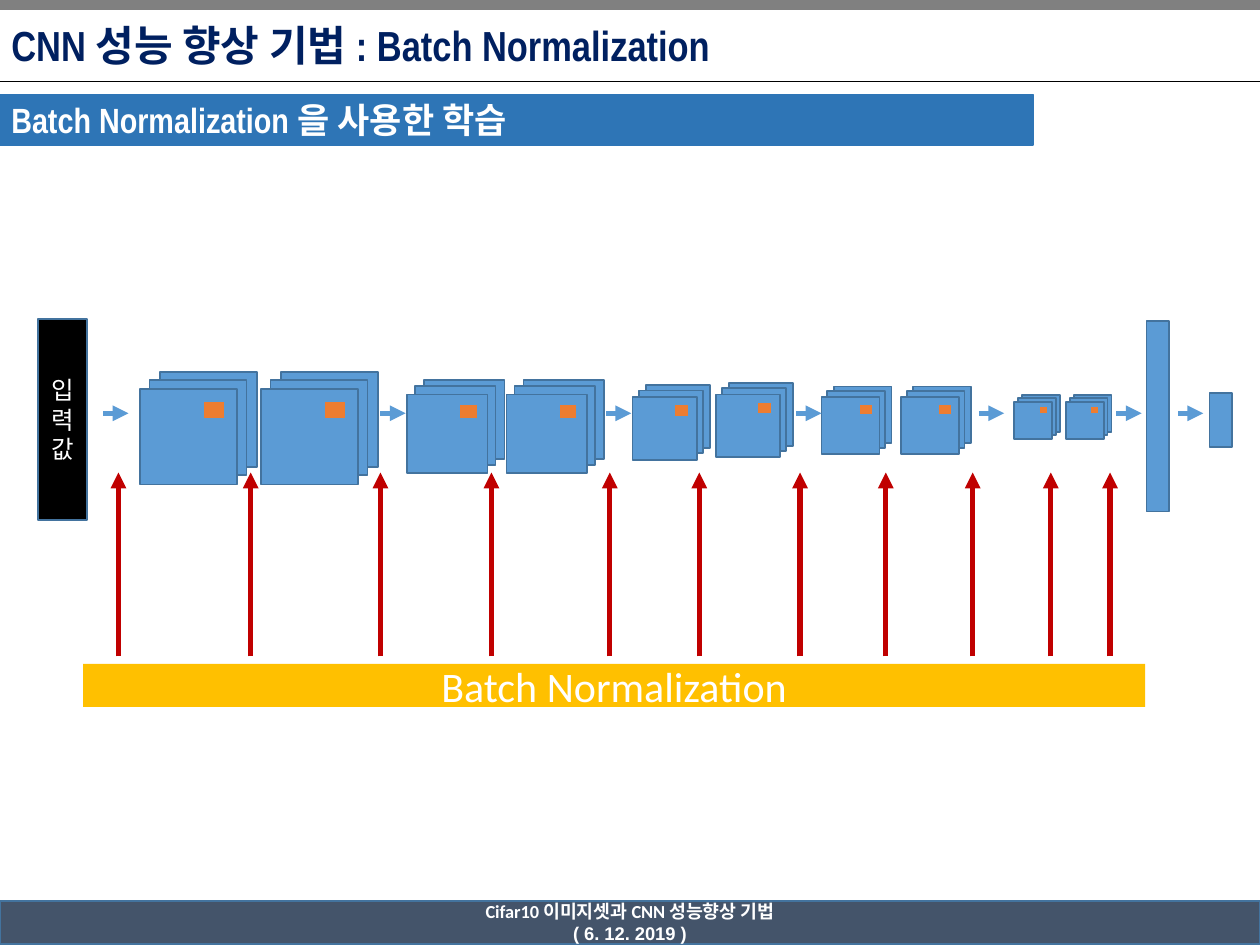
"""Build a slide showing batch normalization applied across the layers of a CNN."""
from dataclasses import dataclass
from typing import Optional

from lxml import etree
from pptx import Presentation
from pptx import util as u
from pptx.dml.color import RGBColor
from pptx.enum import shapes, text
from pptx.oxml.ns import qn

COLORS = {
    "white": "FFFFFF", "black": "000000", "gray": "808080", "navy": "002060",
    "banner": "2E75B6", "footer": "44546A", "layer": "5B9BD5",
    "outline": "43739E", "kernel": "ED7D31", "norm": "FFC000", "red": "C00000",
}
FLOW_Y = 3.28
NORM_TOP, NORM_BOTTOM = 3.75, 5.21


@dataclass(frozen=True)
class Box:
    left: float
    top: float
    width: float
    height: float
    fill: str
    line: Optional[str] = "outline"


@dataclass(frozen=True)
class Label:
    words: str
    size: float
    font: str
    color: str = "white"
    bold: bool = False


@dataclass(frozen=True)
class FeatureMaps:
    left: float
    top: float
    width: float


FEATURE_MAPS = [
    FeatureMaps(1.11, 3.09, 0.77), FeatureMaps(2.07, 3.09, 0.77),
    FeatureMaps(3.23, 3.13, 0.64), FeatureMaps(4.02, 3.13, 0.64),
    FeatureMaps(5.02, 3.15, 0.51), FeatureMaps(5.68, 3.13, 0.51),
    FeatureMaps(6.52, 3.15, 0.46), FeatureMaps(7.15, 3.15, 0.46),
    FeatureMaps(8.05, 3.19, 0.3), FeatureMaps(8.46, 3.19, 0.3),
]
FLOW_STARTS = [0.82, 3.02, 4.81, 6.32, 7.77, 8.86, 9.35]
NORM_POSITIONS = [0.94, 1.99, 3.02, 3.9, 4.84, 5.55, 6.35, 7.03, 7.72, 8.34, 8.81]


def color(name: str) -> RGBColor:
    return RGBColor.from_string(COLORS[name])


def add_box(slide, box: Box):
    shape = slide.shapes.add_shape(
        shapes.MSO_SHAPE.RECTANGLE, u.Inches(box.left), u.Inches(box.top),
        u.Inches(box.width), u.Inches(box.height))
    shape.shadow.inherit = False
    shape.fill.solid()
    shape.fill.fore_color.rgb = color(box.fill)
    if box.line:
        shape.line.color.rgb = color(box.line)
        shape.line.width = u.Pt(1)
    else:
        shape.line.fill.background()
    return shape


def write(shape, labels: list[Label], align=text.PP_ALIGN.CENTER) -> None:
    frame = shape.text_frame
    frame.word_wrap = True
    frame.auto_size = text.MSO_AUTO_SIZE.NONE
    frame.vertical_anchor = text.MSO_ANCHOR.MIDDLE
    frame.margin_left = frame.margin_right = u.Inches(0.09)
    frame.margin_top = frame.margin_bottom = u.Inches(0.04)
    for index, label in enumerate(labels):
        paragraph = frame.add_paragraph() if index else frame.paragraphs[0]
        paragraph.alignment = align
        run = paragraph.add_run()
        run.text = label.words
        run.font.size = u.Pt(label.size)
        run.font.name = label.font
        run.font.bold = label.bold
        run.font.color.rgb = color(label.color)


def add_line(slide, start: tuple[float, float], end: tuple[float, float],
             line_color: str, width: float, arrow: bool = True) -> None:
    connector = slide.shapes.add_connector(
        shapes.MSO_CONNECTOR.STRAIGHT,
        *(u.Inches(value) for value in (*start, *end)))
    connector.line.color.rgb = color(line_color)
    connector.line.width = u.Pt(width)
    if arrow:
        etree.SubElement(connector.line._get_or_add_ln(), qn("a:tailEnd"), type="triangle")
    etree.SubElement(connector._element.spPr, qn("a:effectLst"))


def add_feature_maps(slide, maps: FeatureMaps) -> None:
    size = maps.width
    for shift, rise in ((0.21, 0.18), (0.1, 0.1), (0, 0)):
        add_box(slide, Box(maps.left + shift * size, maps.top - rise * size,
                           size, 0.98 * size, "layer"))
    add_box(slide, Box(maps.left + 0.65 * size, maps.top + 0.12 * size,
                       0.23 * size, 0.19 * size, "kernel", "layer"))


def add_frame(slide) -> None:
    add_box(slide, Box(0, 0, 10, 0.07, "gray", "gray"))
    add_line(slide, (0, 0.65), (10, 0.65), "black", 0.5, arrow=False)
    footer = add_box(slide, Box(0, 7.15, 10, 0.34, "footer"))
    write(footer, [Label("Cifar10 이미지셋과 CNN 성능향상 기법", 10.5, "Calibri", bold=True),
                   Label("( 6. 12. 2019 )", 10.5, "Arial", bold=True)])
    title = slide.shapes.title
    title.left, title.top = u.Inches(0), u.Inches(0.03)
    title.width, title.height = u.Inches(7.81), u.Inches(0.65)
    write(title, [Label("CNN 성능 향상 기법 : Batch Normalization", 24,
                        "Arial Narrow", "navy", True)], text.PP_ALIGN.LEFT)
    banner = add_box(slide, Box(0, 0.75, 8.2, 0.4, "banner", "banner"))
    write(banner, [Label("Batch Normalization 을 사용한 학습", 20,
                         "Arial Narrow", bold=True)], text.PP_ALIGN.LEFT)


def add_network(slide) -> None:
    norm_bar = add_box(slide, Box(0.66, 5.27, 8.43, 0.34, "norm", None))
    write(norm_bar, [Label("Batch Normalization", 24, "Calibri")])
    for x in NORM_POSITIONS:
        add_line(slide, (x, NORM_BOTTOM), (x, NORM_TOP), "red", 3)
    for maps in FEATURE_MAPS:
        add_feature_maps(slide, maps)
    add_box(slide, Box(9.1, 2.55, 0.18, 1.51, "layer"))
    add_box(slide, Box(9.6, 3.12, 0.18, 0.43, "layer"))
    for x in FLOW_STARTS:
        add_line(slide, (x, FLOW_Y), (x + 0.2, FLOW_Y), "layer", 3)
    input_box = add_box(slide, Box(0.3, 2.53, 0.39, 1.6, "black"))
    write(input_box, [Label("입력값", 14, "Calibri")])


def main() -> None:
    presentation = Presentation()
    presentation.slide_width = u.Inches(10)
    presentation.slide_height = u.Inches(7.5)
    slide = presentation.slides.add_slide(presentation.slide_layouts[5])
    add_frame(slide)
    add_network(slide)
    presentation.save("out.pptx")


if __name__ == "__main__":
    main()
